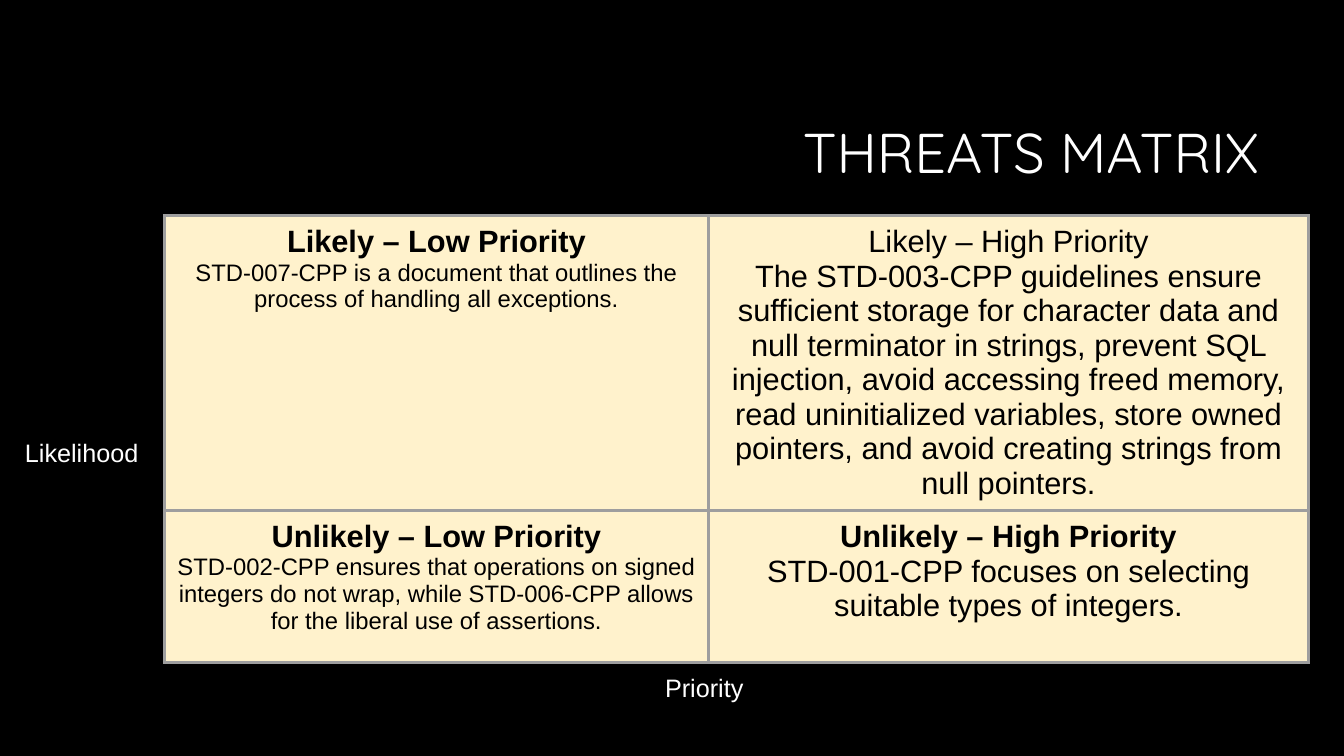
"""Build the threats matrix slide: four priority cells with two axis labels."""
from lxml.etree import SubElement
from pptx import Presentation
from pptx.dml.color import RGBColor
from pptx.enum.text import MSO_ANCHOR, MSO_AUTO_SIZE, PP_ALIGN
from pptx.oxml.ns import qn
from pptx.util import Cm, Pt

COLORS = {"background": "000000", "light": "FFFFFF", "dark": "000000",
          "cell": "FFF2CC", "border": "9E9E9E"}
COLUMN_WIDTHS = (13.72, 15.11)
ROW_HEIGHTS = (7.01, 3.84)
BODY_SIZES = (17, 22)
HEADING_SIZE = 22
MATRIX = (
    (("Likely – Low Priority", True,
      "STD-007-CPP is a document that outlines the process of handling all exceptions."),
     ("Likely – High Priority", False,
      "The STD-003-CPP guidelines ensure sufficient storage for character data and "
      "null terminator in strings, prevent SQL injection, avoid accessing freed memory, "
      "read uninitialized variables, store owned pointers, and avoid creating strings "
      "from null pointers.")),
    (("Unlikely – Low Priority", True,
      "STD-002-CPP ensures that operations on signed integers do not wrap, while "
      "STD-006-CPP allows for the liberal use of assertions."),
     ("Unlikely – High Priority", True,
      "STD-001-CPP focuses on selecting suitable types of integers.")),
)


def rgb(name):
    return RGBColor.from_string(COLORS[name])


def style(paragraph, size, color, align=PP_ALIGN.LEFT, bold=False, font="Arial"):
    paragraph.alignment = align
    paragraph.font.name = font
    paragraph.font.size = Pt(size)
    paragraph.font.bold = bold
    paragraph.font.color.rgb = rgb(color)


def set_title(slide, text):
    title = slide.shapes.title
    title.left, title.top, title.width, title.height = Cm(8.05), Cm(2.13), Cm(23.93), Cm(3.58)
    frame = title.text_frame
    frame.text = text
    frame.word_wrap = True
    frame.auto_size = MSO_AUTO_SIZE.NONE
    frame.vertical_anchor = MSO_ANCHOR.MIDDLE
    heading = frame.paragraphs[0]
    heading.line_spacing = 0.9
    style(heading, 40, "light", PP_ALIGN.RIGHT, font="Quicksand")


def add_borders(cell):
    properties = cell._tc.get_or_add_tcPr()
    for side in ("a:lnL", "a:lnR", "a:lnT", "a:lnB"):
        line = SubElement(properties, qn(side), w=str(Pt(2.25)))
        fill = SubElement(line, qn("a:solidFill"))
        SubElement(fill, qn("a:srgbClr"), val=COLORS["border"])


def fill_cell(cell, heading, heading_bold, body, body_size):
    cell.margin_left = cell.margin_right = cell.margin_top = cell.margin_bottom = Cm(0.24)
    add_borders(cell)
    cell.fill.solid()
    cell.fill.fore_color.rgb = rgb("cell")
    cell.text = f"{heading}\n{body}"
    heading_line, body_line = cell.text_frame.paragraphs
    style(heading_line, HEADING_SIZE, "dark", PP_ALIGN.CENTER, heading_bold)
    style(body_line, body_size, "dark", PP_ALIGN.CENTER)


def add_matrix(slide):
    matrix = slide.shapes.add_table(
        len(ROW_HEIGHTS), len(COLUMN_WIDTHS), Cm(4.14), Cm(5.43),
        Cm(sum(COLUMN_WIDTHS)), Cm(sum(ROW_HEIGHTS))).table
    matrix.first_row = matrix.horz_banding = False
    for column, width in zip(matrix.columns, COLUMN_WIDTHS):
        column.width = Cm(width)
    for row, height, contents in zip(matrix.rows, ROW_HEIGHTS, MATRIX):
        row.height = Cm(height)
        for cell, content, body_size in zip(row.cells, contents, BODY_SIZES):
            fill_cell(cell, *content, body_size)


def add_axis_label(slide, text, left, top, width):
    label = slide.shapes.add_textbox(Cm(left), Cm(top), Cm(width), Cm(1.02)).text_frame
    label.word_wrap = False
    label.auto_size = MSO_AUTO_SIZE.SHAPE_TO_FIT_TEXT
    label.text = text
    style(label.paragraphs[0], 18, "light")


def main():
    deck = Presentation()
    deck.slide_width, deck.slide_height = Cm(33.87), Cm(19.05)
    slide = deck.slides.add_slide(deck.slide_layouts[5])
    slide.background.fill.solid()
    slide.background.fill.fore_color.rgb = rgb("background")
    set_title(slide, "THREATS MATRIX")
    add_matrix(slide)
    add_axis_label(slide, "Likelihood", 0.38, 10.9, 3.4)
    add_axis_label(slide, "Priority", 16.51, 16.81, 2.51)
    deck.save("out.pptx")


if __name__ == "__main__":
    main()
